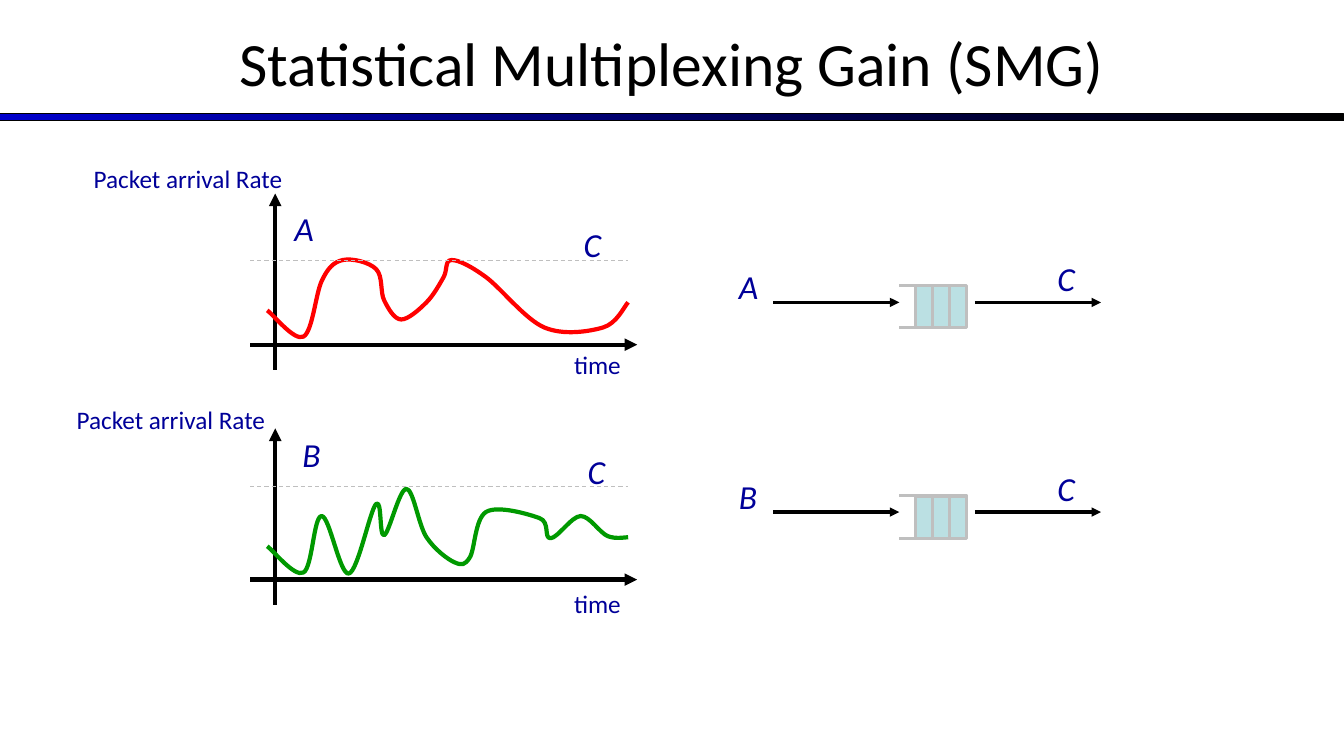
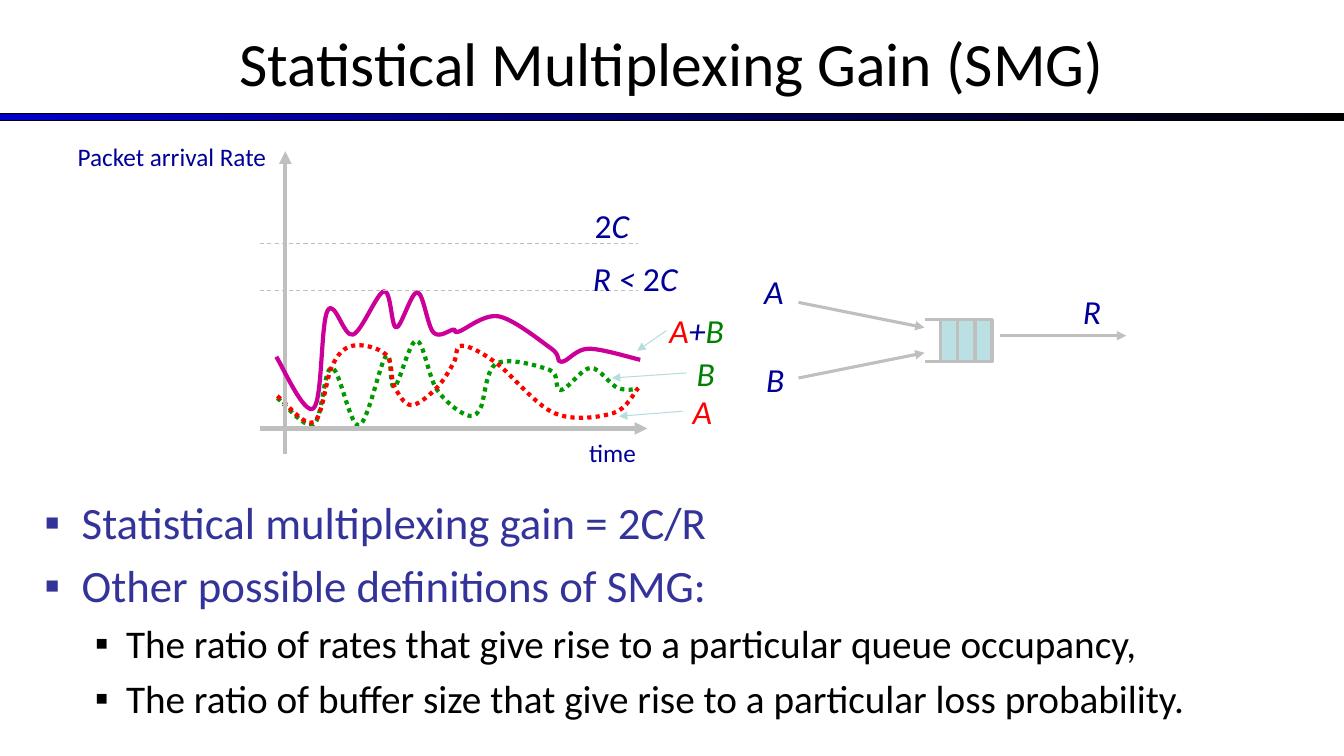
"""Build two slides on statistical multiplexing gain."""
from dataclasses import dataclass

from pptx import Presentation
from pptx.dml.color import RGBColor
from pptx.enum.dml import MSO_LINE
from pptx.enum.shapes import MSO_CONNECTOR, MSO_SHAPE
from pptx.enum.text import MSO_ANCHOR, MSO_AUTO_SIZE, PP_ALIGN
from pptx.oxml.ns import qn
from pptx.util import Pt

SCALE = 9144
WIDE, HIGH = 1333, 750
RECT = MSO_SHAPE.RECTANGLE
STRAIGHT = MSO_CONNECTOR.STRAIGHT
DASH, DOT = MSO_LINE.DASH, MSO_LINE.ROUND_DOT
CENTER, MIDDLE = PP_ALIGN.CENTER, MSO_ANCHOR.MIDDLE
NO_FIT = MSO_AUTO_SIZE.NONE


@dataclass(frozen=True)
class Theme:
    font: str = "Calibri"
    black: str = "000000"
    blue: str = "0000CC"
    navy: str = "000099"
    indigo: str = "333399"
    gray: str = "BFBFBF"
    pale: str = "BBE0E3"
    hint: str = "B6DCDF"
    red: str = "FF0000"
    green: str = "009900"
    leaf: str = "008000"
    pink: str = "CC0099"
    head: int = 44
    sign: int = 24
    note: int = 18
    thin: float = 0.75
    mid: float = 2.25
    bold: float = 3


T = Theme()
TITLE = "Statistical Multiplexing Gain (SMG)"
RATE = "Packet arrival Rate"

FLOW_A = [(265, 308), (301, 334), (319, 279), (340, 258), (373, 267), (381, 298), (398, 317),
          (423, 300), (440, 275), (448, 258), (482, 275), (540, 325), (598, 325), (623, 300)]
FLOW_B = [(265, 542), (301, 568), (319, 512), (346, 569), (373, 500), (381, 531), (403, 485),
          (423, 533), (451, 558), (466, 553), (482, 508), (535, 514), (546, 534), (576, 512),
          (603, 532), (623, 533)]
FLOW_SUM = [(274, 354), (311, 405), (325, 308), (350, 332), (381, 289), (393, 325), (414, 290),
            (430, 330), (450, 327), (455, 329), (495, 314), (547, 346), (557, 359), (584, 346),
            (635, 357)]

LEVELS = [(T.indigo, 32, 37, 37), (T.black, 28, 81, 31)]

SLIDES = [
    {"parts": [
        ("axes", 273, 192, 367, 342, T.black),
        ("curve", FLOW_A, (0, 0), T.red),
        ("limit", 273, 258),
        ("axes", 273, 425, 600, 575, T.black),
        ("curve", FLOW_B, (0, 0), T.green),
        ("limit", 273, 483),
        ("sign", 290, 426, 38, "B"),
        ("sign", 282, 201, 39, "A"),
        ("note", 559, 342, 67, "time"),
        ("note", 559, 579, 67, "time"),
        ("note", 82, 157, 209, RATE),
        ("note", 65, 396, 209, RATE),
        ("sign", 569, 217, 37, "C"),
        ("sign", 573, 442, 37, "C"),
        ("arrow", (767, 300), (892, 300), T.black),
        ("queue", 892, 283),
        ("arrow", (967, 300), (1092, 300), T.black),
        ("sign", 723, 259, 39, "A"),
        ("sign", 1039, 251, 37, "C"),
        ("arrow", (767, 508), (892, 508), T.black),
        ("queue", 892, 492),
        ("arrow", (967, 508), (1092, 508), T.black),
        ("sign", 723, 467, 38, "B"),
        ("sign", 1039, 459, 37, "C"),
    ]},
    {"parts": [
        ("arrow", (792, 300), (917, 325), T.gray),
        ("arrow", (792, 375), (917, 350), T.gray),
        ("queue", 917, 317),
        ("arrow", (992, 333), (1117, 333), T.gray),
        ("sign", 748, 264, 39, "A"),
        ("sign", 750, 351, 38, "B"),
        ("sign", 1064, 284, 38, "R"),
        ("curve", FLOW_B, (10, -147), T.green, DOT),
        ("curve", FLOW_A, (10, 85), T.red, DOT),
        ("axes", 283, 150, 450, 425, T.gray),
        ("curve", FLOW_SUM, (0, 0), T.pink),
        ("limit", 283, 288),
        ("limit", 283, 242),
        ("label", 580, 198, 54, [("2", False, T.navy), ("C", True, T.navy)]),
        ("label", 578, 251, 104,
         [("R < ", True, T.navy), ("2", False, T.navy), ("C", True, T.navy)]),
        ("label", 654, 303, 74, [("A", True, T.red), ("+", True, T.navy), ("B", True, T.leaf)]),
        ("note", 574, 429, 67, "time"),
        ("note", 66, 135, 209, RATE),
        ("sign", 681, 345, 38, "B", T.leaf),
        ("sign", 677, 383, 39, "A", T.red),
        ("arrow", (677, 408), (614, 413), T.hint, T.thin),
        ("arrow", (681, 370), (607, 375), T.hint, T.thin),
        ("arrow", (661, 328), (632, 348), T.hint, T.thin),
    ],
     "list": [
        (0, "Statistical multiplexing gain = 2C/R"),
        (0, "Other possible definitions of SMG:"),
        (1, "The ratio of rates that give rise to a particular queue occupancy,"),
        (1, "The ratio of buffer size that give rise to a particular loss probability."),
    ]},
]


def emu(*vals):
    return [val * SCALE for val in vals]


def rgb(code):
    return RGBColor.from_string(code)


def place(shape, *box):
    shape.left, shape.top, shape.width, shape.height = emu(*box)


def add_run(para, text, size, color, italic=False):
    run = para.add_run()
    run.text = text
    font = run.font
    font.name, font.size, font.italic = T.font, Pt(size), italic
    font.color.rgb = rgb(color)


def stroke(shape, color, width, dash=None):
    shape.line.color.rgb = rgb(color)
    shape.line.width = Pt(width)
    if dash:
        shape.line.dash_style = dash


def add_rect(shapes, *box):
    rect = shapes.add_shape(RECT, *emu(*box))
    rect.shadow.inherit = False
    return rect


def add_line(shapes, start, end, color, width, dash=None, tip=False):
    line = shapes.add_connector(STRAIGHT, *emu(*start, *end))
    stroke(line, color, width, dash)
    props = line._element.spPr
    if tip:
        edge = props.find(qn("a:ln"))
        edge.append(edge.makeelement(qn("a:tailEnd"), {"type": "triangle"}))
    props.append(props.makeelement(qn("a:effectLst"), {}))


def add_arrow(shapes, start, end, color, width=T.mid):
    add_line(shapes, start, end, color, width, tip=True)


def add_axes(shapes, x, top, low, base, color):
    add_arrow(shapes, (x, low), (x, top), color, T.bold)
    add_arrow(shapes, (x - 25, base), (x + 359, base), color, T.bold)


def add_limit(shapes, x, y):
    add_line(shapes, (x - 25, y), (x + 350, y), T.gray, T.thin, DASH)


def add_queue(shapes, x, y):
    parts = shapes.add_group_shape().shapes
    size, tall = 17, 42
    for i in range(3):
        cell = add_rect(parts, x + 16 + i * size, y, size, tall)
        cell.fill.solid()
        cell.fill.fore_color.rgb = rgb(T.pale)
        stroke(cell, T.gray, T.mid)
    for edge in (y, y + tall):
        add_line(parts, (x, edge), (x + 33, edge), T.gray, T.mid)


def add_curve(shapes, knots, shift, color, dash=None):
    knots = [(x + shift[0], y + shift[1]) for x, y in knots]
    form = shapes.build_freeform(*knots[0], scale=SCALE)
    form.add_line_segments(knots[1:], close=False)
    curve = form.convert_to_shape()
    curve.shadow.inherit = False
    curve.fill.background()
    stroke(curve, color, T.bold, dash)
    left, top = (min(axis) for axis in zip(*knots))
    ends = [knots[0], *knots, knots[-1]]
    bends = [((c[0] - a[0]) / 6, (c[1] - a[1]) / 6) for a, c in zip(ends, ends[2:])]
    for i, step in enumerate(list(curve._element.iter(qn("a:lnTo")))):
        (ax, ay), (bx, by) = knots[i:i + 2]
        (au, av), (bu, bv) = bends[i:i + 2]
        bez = step.makeelement(qn("a:cubicBezTo"), {})
        for x, y in ((ax + au, ay + av), (bx - bu, by - bv), (bx, by)):
            spot = {"x": str(round(x - left)), "y": str(round(y - top))}
            bez.append(bez.makeelement(qn("a:pt"), spot))
        step.getparent().replace(step, bez)


def add_label(shapes, x, y, width, runs, size=T.sign, tall=50):
    frame = shapes.add_textbox(*emu(x, y, width, tall)).text_frame
    frame.word_wrap = False
    para = frame.paragraphs[0]
    para.alignment = CENTER
    for text, italic, color in runs:
        add_run(para, text, size, color, italic)


def add_sign(shapes, x, y, width, text, color=T.navy):
    add_label(shapes, x, y, width, [(text, True, color)])


def add_note(shapes, x, y, width, text):
    add_label(shapes, x, y, width, [(text, False, T.navy)], T.note, 40)


def add_list(body, items):
    place(body, 34, 486, 1244, 247)
    frame = body.text_frame
    frame.auto_size = NO_FIT
    for i, (level, text) in enumerate(items):
        para = frame.add_paragraph() if i else frame.paragraphs[0]
        color, size, margin, hang = LEVELS[level]
        para.level = level
        add_run(para, text, size, color)
        props = para._p.get_or_add_pPr()
        props.set("marL", str(margin * SCALE))
        props.set("indent", str(-hang * SCALE))
        tint = props.makeelement(qn("a:buClr"), {})
        tint.append(tint.makeelement(qn("a:srgbClr"), {"val": color}))
        props.append(tint)
        props.append(props.makeelement(qn("a:buChar"), {"char": "▪"}))


def set_master(deck, slide):
    master = deck.slide_master
    place(master.placeholders[0], 0, 0, WIDE, 122)
    band = add_rect(slide.shapes, 0, 113, WIDE, 7)
    band.fill.gradient()
    band.fill.gradient_angle = 0
    for stop, color in zip(band.fill.gradient_stops, (T.blue, T.black)):
        stop.color.rgb = rgb(color)
    stroke(band, T.black, T.thin)
    band._element.nvSpPr.cNvPr.set("id", "99")
    master.shapes._spTree.insert(2, band._element)


DRAW = {"axes": add_axes, "curve": add_curve, "limit": add_limit, "queue": add_queue,
        "arrow": add_arrow, "label": add_label, "sign": add_sign, "note": add_note}


def main():
    deck = Presentation()
    deck.slide_width, deck.slide_height = emu(WIDE, HIGH)
    for i, page in enumerate(SLIDES):
        items = page.get("list")
        slide = deck.slides.add_slide(deck.slide_layouts[1 if items else 5])
        if i == 0:
            set_master(deck, slide)
        frame = slide.shapes.title.text_frame
        frame.vertical_anchor = MIDDLE
        frame.paragraphs[0].alignment = CENTER
        add_run(frame.paragraphs[0], TITLE, T.head, T.black)
        for kind, *args in page["parts"]:
            DRAW[kind](slide.shapes, *args)
        if items:
            add_list(slide.placeholders[1], items)
    deck.save("out.pptx")


if __name__ == "__main__":
    main()
